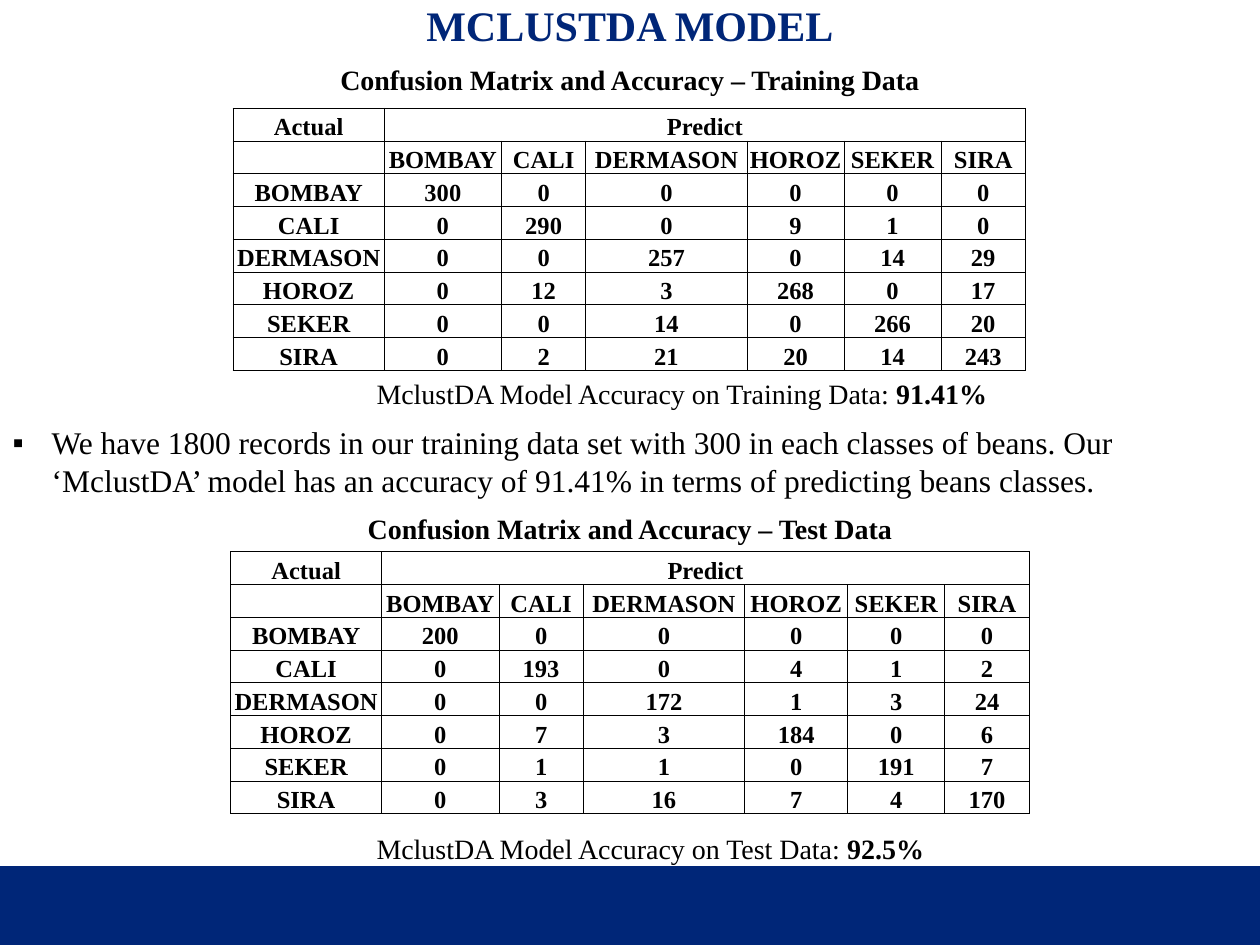
import pptx
import pptx.util
import pptx.dml.color
import pptx.enum.text
import pptx.enum.shapes
import pptx.oxml
import pptx.oxml.ns

WIDE, HIGH = pptx.util.Inches(10), pptx.util.Inches(7.5)
COLS, ROWS = 100, 75
NAVY, BLACK = "002678", "000000"
FACE = "Times New Roman"
LEFT = pptx.enum.text.PP_ALIGN.LEFT
MID = pptx.enum.text.PP_ALIGN.CENTER
LOW = pptx.enum.text.MSO_ANCHOR.BOTTOM
BEANS = ["BOMBAY", "CALI", "DERMASON", "HOROZ", "SEKER", "SIRA"]
TRAIN = [
    [300, 0, 0, 0, 0, 0],
    [0, 290, 0, 9, 1, 0],
    [0, 0, 257, 0, 14, 29],
    [0, 12, 3, 268, 0, 17],
    [0, 0, 14, 0, 266, 20],
    [0, 2, 21, 20, 14, 243],
]
TEST = [
    [200, 0, 0, 0, 0, 0],
    [0, 193, 0, 4, 1, 2],
    [0, 0, 172, 1, 3, 24],
    [0, 7, 3, 184, 0, 6],
    [0, 1, 1, 0, 191, 7],
    [0, 3, 16, 7, 4, 170],
]
CLAIM = (
    "We have 1800 records in our training data set with 300 in each classes of beans. "
    "Our ‘MclustDA’ model has an accuracy of 91.41% in terms of predicting beans classes."
)


def paint(code):
    """Turn a hex string into a colour."""
    return pptx.dml.color.RGBColor.from_string(code)


def across(cols):
    """Give the length of some grid columns."""
    return round(WIDE * cols / COLS)


def down(rows):
    """Give the length of some grid rows."""
    return round(HIGH * rows / ROWS)


def span(box):
    """Turn a grid box into left, top, width and height."""
    x, y, w, h = box
    return across(x), down(y), across(w), down(h)


def move(shape, box):
    """Place a shape in a grid box."""
    shape.left, shape.top, shape.width, shape.height = span(box)


def style(para, size, bold=False, tint=BLACK, align=LEFT):
    """Set the font and alignment of a paragraph."""
    para.alignment = align
    font = para.font
    font.name, font.size, font.bold = FACE, pptx.util.Pt(size), bold
    font.color.rgb = paint(tint)


def inset(part, left, top, right, base):
    """Set the margins of a cell or text frame in inches."""
    part.margin_left, part.margin_top = pptx.util.Inches(left), pptx.util.Inches(top)
    part.margin_right, part.margin_bottom = pptx.util.Inches(right), pptx.util.Inches(base)


def band(slide, box):
    """Draw the navy footer band."""
    bar = slide.shapes.add_shape(pptx.enum.shapes.MSO_SHAPE.RECTANGLE, *span(box))
    bar.shadow.inherit = False
    bar.fill.solid()
    bar.fill.fore_color.rgb = paint(NAVY)
    bar.line.fill.background()


def title(slide, box, words):
    """Fill the title placeholder."""
    head = slide.shapes.title
    move(head, box)
    frame = head.text_frame
    frame.text = words
    frame.auto_size = pptx.enum.text.MSO_AUTO_SIZE.NONE
    frame.vertical_anchor = LOW
    inset(frame, 0.07, 0.04, 0.07, 0.04)
    style(frame.paragraphs[0], 24, True, NAVY, MID)
    frame.paragraphs[0].line_spacing = 0.9


def claim(slide, box, words):
    """Fill the body placeholder with one square bullet."""
    body = slide.placeholders[1]
    move(body, box)
    frame = body.text_frame
    frame.text = words
    frame.auto_size = pptx.enum.text.MSO_AUTO_SIZE.NONE
    para = frame.paragraphs[0]
    para.space_before = pptx.util.Pt(0)
    style(para, 18)
    prop = para._p.get_or_add_pPr()
    dent = pptx.util.Inches(0.31)
    prop.set("marL", str(dent))
    prop.set("indent", str(-dent))
    mark = pptx.oxml.parse_xml(
        f'<a:buChar {pptx.oxml.ns.nsdecls("a")} char="▪"/>')
    prop.find(pptx.oxml.ns.qn("a:defRPr")).addprevious(mark)


def label(slide, box, words, strong="", bold=False, align=LEFT):
    """Add a line of text, with an optional bold ending."""
    frame = slide.shapes.add_textbox(*span(box)).text_frame
    frame.word_wrap = True
    para = frame.paragraphs[0]
    para.add_run().text = words
    style(para, 16, bold, align=align)
    if strong:
        tail = para.add_run()
        tail.text = strong
        tail.font.bold = True


def edge(cell):
    """Draw thin black borders around a cell."""
    prop = cell._tc.get_or_add_tcPr()
    for side in "LRTB":
        prop.append(pptx.oxml.parse_xml(
            f'<a:ln{side} {pptx.oxml.ns.nsdecls("a")} w="{pptx.util.Pt(0.5)}">'
            f'<a:solidFill><a:srgbClr val="{BLACK}"/></a:solidFill></a:ln{side}>'))


def matrix(slide, box, widths, counts):
    """Build a confusion matrix with its two heading rows."""
    lines = [["Actual", "Predict"] + [""] * 5, [""] + BEANS]
    lines += [[bean] + row for bean, row in zip(BEANS, counts)]
    grid = slide.shapes.add_table(len(lines), len(widths), *span(box)).table
    grid.first_row = grid.horz_banding = False
    for col, wide in zip(grid.columns, widths):
        col.width = across(wide)
    for row, line in zip(grid.rows, lines):
        row.height = down(box[3] / len(lines))
        for cell, value in zip(row.cells, line):
            cell.text = str(value)
            cell.vertical_anchor = LOW
            inset(cell, 0.01, 0.01, 0.01, 0)
            style(cell.text_frame.paragraphs[0], 14, True, align=MID)
            edge(cell)
            cell.fill.background()
    grid.cell(0, 1).merge(grid.cell(0, len(widths) - 1))


def main():
    """Build and save the slide."""
    deck = pptx.Presentation()
    deck.slide_width, deck.slide_height = WIDE, HIGH
    slide = deck.slides.add_slide(deck.slide_layouts[1])
    band(slide, (0, 68.75, COLS, 6.25))
    title(slide, (0, 0, COLS, 4.4), "MCLUSTDA MODEL")
    claim(slide, (0, 33.1, COLS, 7.1), CLAIM)
    sets = [
        ("Training", "91.41%", TRAIN, 4.5, 8.6, 29.4, 18.5, 7.7),
        ("Test", "92.5%", TEST, 40.1, 43.8, 65.5, 18.3, 8.2),
    ]
    for name, score, counts, top, mid, base, left, horoz in sets:
        label(slide, (0, top, COLS, 3.7),
              f"Confusion Matrix and Accuracy – {name} Data", bold=True, align=MID)
        widths = [12, 9.3, 6.7, 12.8, horoz, 7.7, 6.7]
        matrix(slide, (left, mid, sum(widths), 20.8), widths, counts)
        label(slide, (28.9, base, 51, 3.7),
              f"MclustDA Model Accuracy on {name} Data: ", score)
    deck.save("out.pptx")


if __name__ == "__main__":
    main()
